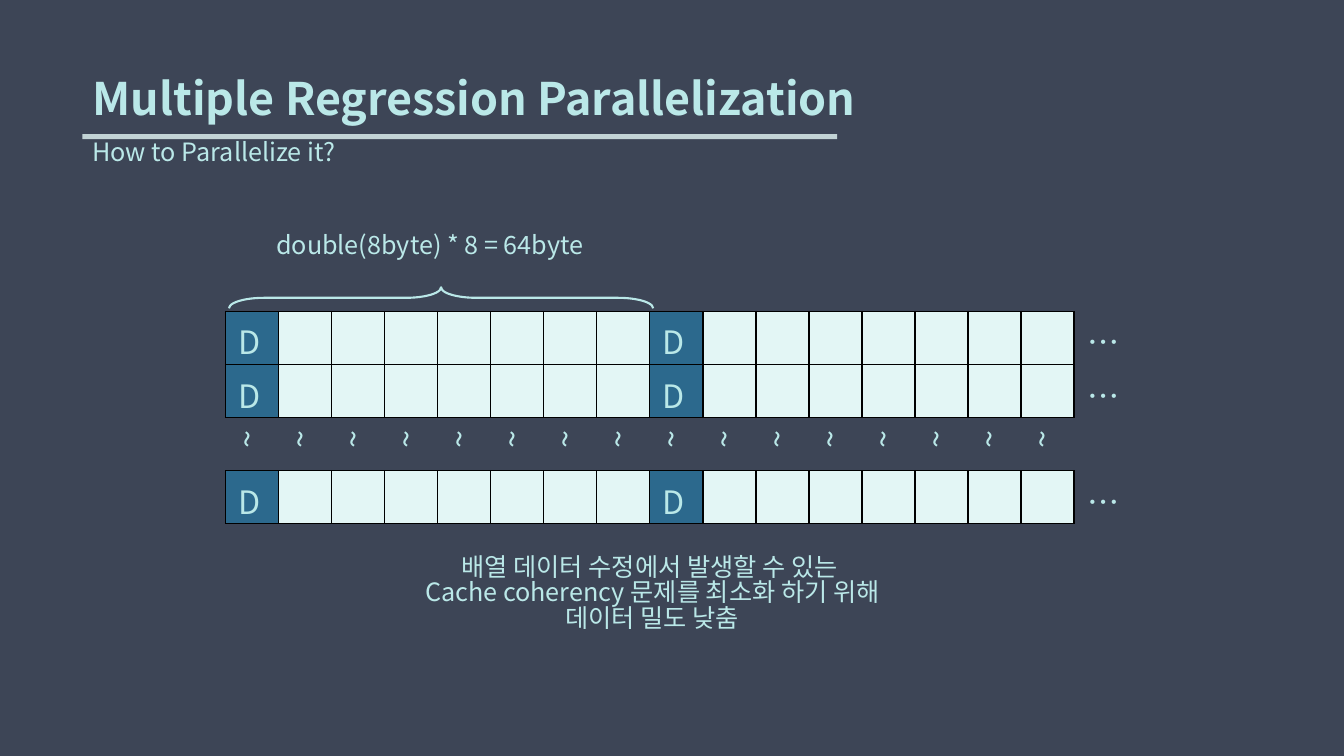
from lxml.etree import SubElement
from pptx import Presentation
from pptx.dml.color import RGBColor
from pptx.enum.shapes import MSO_SHAPE
from pptx.enum.text import MSO_ANCHOR, PP_ALIGN
from pptx.oxml import parse_xml
from pptx.oxml.ns import nsdecls, qn
from pptx.util import Cm, Pt

FONT = "Noto Sans CJK KR"
BACKGROUND = RGBColor(0x3D, 0x45, 0x56)
UNDERLINE = RGBColor(0xC2, 0xD3, 0xD5)
TEXT = RGBColor(0xBA, 0xE8, 0xE8)
DATA_CELL = RGBColor(0x2C, 0x69, 0x8D)
PADDING_CELL = RGBColor(0xE3, 0xF6, 0xF5)
BORDER = RGBColor(0x00, 0x00, 0x00)

CACHE_LINE = 8
COLUMNS = 2 * CACHE_LINE
ROWS = 4
GAP_ROW = 2
GRID_WIDTH = 21.39
GRID_HEIGHT = 5.35


def add_run(paragraph, text, size, bold=False):
    run = paragraph.add_run()
    run.text = text
    run.font.name = FONT
    run.font.size = Pt(size)
    run.font.bold = bold
    run.font.color.rgb = TEXT
    east_asian = SubElement(run.font._element, qn("a:ea"))
    east_asian.set("typeface", FONT)


def fill_text(frame, lines, size, spacing, align=PP_ALIGN.LEFT, bold=False):
    frame.word_wrap = True
    frame.vertical_anchor = MSO_ANCHOR.TOP
    for index, line in enumerate(lines):
        paragraph = frame.add_paragraph() if index else frame.paragraphs[0]
        paragraph.alignment = align
        paragraph.line_spacing = spacing
        add_run(paragraph, line, size, bold)


def add_title(slide, text):
    title = slide.shapes.title
    title.left, title.top = Cm(2.08), Cm(1.8)
    title.width, title.height = Cm(20.19), Cm(3)
    fill_text(title.text_frame, [text], 32, 0.9, bold=True)


def add_label(slide, left, top, width, height, lines, align=PP_ALIGN.LEFT):
    box = slide.shapes.add_textbox(Cm(left), Cm(top), Cm(width), Cm(height))
    fill_text(box.text_frame, lines, 18, 0.84, align)


def add_underline(slide):
    bar = slide.shapes.add_shape(
        MSO_SHAPE.RECTANGLE, Cm(2.08), Cm(3.38), Cm(19.02), Cm(0.13))
    bar.shadow.inherit = False
    bar.fill.solid()
    bar.fill.fore_color.rgb = UNDERLINE
    bar.line.fill.background()


def add_brace(slide):
    brace = slide.shapes.add_shape(
        MSO_SHAPE.LEFT_BRACE, Cm(10.85), Cm(2.16), Cm(0.53), Cm(10.69))
    brace.rotation = 90
    brace.adjustments[0] = 1.665
    brace.adjustments[1] = 0.5
    brace.shadow.inherit = False
    brace.fill.background()
    brace.line.color.rgb = TEXT
    brace.line.width = Pt(1.5)


def set_borders(cell, sides):
    properties = cell._tc.get_or_add_tcPr()
    for index, side in enumerate("LRTB"):
        paint = "<a:noFill/>"
        if side in sides:
            paint = f'<a:solidFill><a:srgbClr val="{BORDER}"/></a:solidFill>'
        properties.insert(index, parse_xml(
            f'<a:ln{side} {nsdecls("a")} w="{Pt(1)}">{paint}</a:ln{side}>'))


def cell_content(row, column):
    """Return the text, fill and bordered sides of one cell."""
    if column == COLUMNS:
        return ("", None, "") if row == GAP_ROW else ("…", None, "L")
    if row == GAP_ROW:
        return "~", None, "TB"
    if column % CACHE_LINE == 0:
        return "D", DATA_CELL, "LRTB"
    return "", PADDING_CELL, "LRTB"


def format_cell(cell, text, color, sides):
    cell.margin_left = cell.margin_right = Cm(0.33)
    cell.margin_top, cell.margin_bottom = Cm(0.15), Cm(0)
    set_borders(cell, sides)
    if color is None:
        cell.fill.background()
    else:
        cell.fill.solid()
        cell.fill.fore_color.rgb = color
    if text:
        add_run(cell.text_frame.paragraphs[0], text, 23)
    if text == "~":
        cell._tc.get_or_add_tcPr().set("vert", "vert")


def add_memory_table(slide):
    frame = slide.shapes.add_table(
        ROWS, COLUMNS + 1, Cm(5.69), Cm(7.85), Cm(GRID_WIDTH + 2.67), Cm(GRID_HEIGHT))
    table = frame.table
    table.first_row = table.horz_banding = False
    for column in table.columns:
        column.width = Cm(GRID_WIDTH / COLUMNS)
    table.columns[COLUMNS].width = Cm(2.67)
    for row in range(ROWS):
        table.rows[row].height = Cm(GRID_HEIGHT / ROWS)
        for column in range(COLUMNS + 1):
            format_cell(table.cell(row, column), *cell_content(row, column))


def main():
    presentation = Presentation()
    presentation.slide_width, presentation.slide_height = Cm(33.87), Cm(19.05)
    slide = presentation.slides.add_slide(presentation.slide_layouts[5])
    slide.background.fill.solid()
    slide.background.fill.fore_color.rgb = BACKGROUND

    # Heading
    add_underline(slide)
    add_title(slide, "Multiple Regression Parallelization")
    add_label(slide, 2.08, 3.43, 9.25, 1.02, ["How to Parallelize it?"])

    # Conclusion
    add_label(slide, 9.47, 13.89, 13.94, 2.57, [
        "배열 데이터 수정에서 발생할 수 있는 ",
        "Cache coherency 문제를 최소화 하기 위해",
        "데이터 밀도 낮춤",
    ], PP_ALIGN.CENTER)

    # Memory layout with the size of one cache line
    add_memory_table(slide)
    add_brace(slide)
    add_label(slide, 6.71, 5.77, 8.48, 1.02, ["double(8byte) * 8 = 64byte"])

    presentation.save("out.pptx")


if __name__ == "__main__":
    main()
